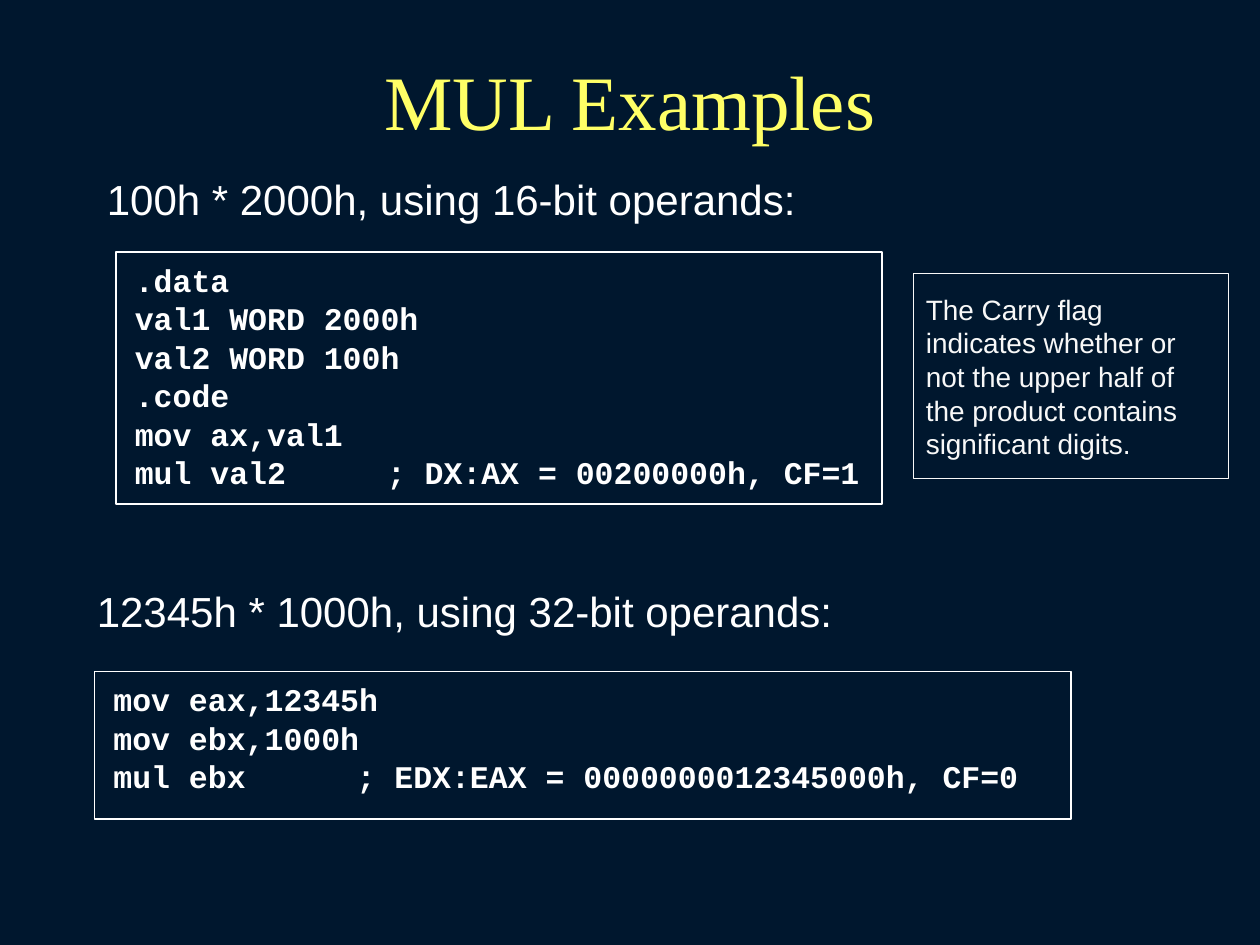
from dataclasses import dataclass

from lxml.etree import SubElement
from pptx import Presentation
from pptx.dml.color import RGBColor
from pptx.enum.shapes import MSO_SHAPE as Shape
from pptx.enum.text import MSO_ANCHOR as Anchor, PP_ALIGN as Align
from pptx.oxml.ns import qn
from pptx.util import Inches, Pt


@dataclass(frozen=True)
class Theme:
    background: RGBColor = RGBColor(0x00, 0x17, 0x2E)
    title: RGBColor = RGBColor(0xFF, 0xFF, 0x66)
    text: RGBColor = RGBColor(0xFF, 0xFF, 0xFF)
    note: RGBColor = RGBColor(0xF8, 0xF8, 0xF8)
    title_font: str = "Times New Roman"
    body_font: str = "Arial"
    code_font: str = "Courier New"
    title_size: float = 44
    heading_size: float = 24
    code_size: float = 18
    note_size: float = 16
    line_width: float = 0.75
    code_spacing: float = 0.5
    code_gap: float = 11.2


@dataclass(frozen=True)
class Box:
    left: float
    top: float
    width: float
    height: float

    def lengths(self) -> tuple:
        return tuple(map(Inches, (self.left, self.top, self.width, self.height)))


@dataclass(frozen=True)
class Example:
    heading: str
    heading_box: Box
    heading_inset: float
    code: tuple[str, ...]
    code_box: Box
    comment_tab: float


THEME = Theme()
NOTE = ("The Carry flag indicates whether or not the upper half of "
        "the product contains significant digits.")
EXAMPLES = (
    Example(
        "100h * 2000h, using 16-bit operands:", Box(0.75, 1.33, 8.5, 0.58), 0.05,
        (".data", "val1 WORD 2000h", "val2 WORD 100h", ".code", "mov ax,val1",
         "mul val2\t; DX:AX = 00200000h, CF=1"),
        Box(0.92, 2, 6.08, 2), 2),
    Example(
        "12345h * 1000h, using 32-bit operands:", Box(0.67, 4.5, 7.83, 0.7), 0.15,
        ("mov eax,12345h", "mov ebx,1000h",
         "mul ebx\t; EDX:EAX = 0000000012345000h, CF=0"),
        Box(0.75, 5.33, 7.75, 1.17), 1.93),
)


def set_frame(frame, side: float, end: float, anchor=Anchor.TOP) -> None:
    frame.word_wrap = True
    frame.vertical_anchor = anchor
    frame.margin_left = frame.margin_right = Inches(side)
    frame.margin_top = frame.margin_bottom = Inches(end)


def add_text(paragraph, text: str, font_name: str, size: float,
             color: RGBColor, bold: bool = False, align=Align.LEFT) -> None:
    paragraph.alignment = align
    run = paragraph.add_run()
    run.text = text
    run.font.name = font_name
    run.font.size = Pt(size)
    run.font.bold = bold
    run.font.color.rgb = color


def add_tab_stop(paragraph, position: float) -> None:
    tabs = SubElement(paragraph._p.get_or_add_pPr(), qn("a:tabLst"))
    SubElement(tabs, qn("a:tab"), pos=str(Inches(position)), algn="l")


def add_outline(slide, box: Box, color: RGBColor):
    shape = slide.shapes.add_shape(Shape.RECTANGLE, *box.lengths())
    shape.shadow.inherit = False
    shape.fill.background()
    shape.line.color.rgb = color
    shape.line.width = Pt(THEME.line_width)
    return shape


def draw_title(slide, text: str, box: Box) -> None:
    title = slide.shapes.title
    title.left, title.top, title.width, title.height = box.lengths()
    set_frame(title.text_frame, 0.1, 0.05, Anchor.MIDDLE)
    add_text(title.text_frame.paragraphs[0], text, THEME.title_font,
             THEME.title_size, THEME.title, align=Align.CENTER)


def draw_example(slide, example: Example) -> None:
    # Heading above the code
    heading = slide.shapes.add_textbox(*example.heading_box.lengths()).text_frame
    set_frame(heading, 0.1, example.heading_inset)
    add_text(heading.paragraphs[0], example.heading, THEME.body_font,
             THEME.heading_size, THEME.text)

    # Framed code, one paragraph per line
    frame = add_outline(slide, example.code_box, THEME.text).text_frame
    set_frame(frame, 0.15, 0.2)
    for index, line in enumerate(example.code):
        paragraph = frame.add_paragraph() if index else frame.paragraphs[0]
        paragraph.line_spacing = THEME.code_spacing
        if index:
            paragraph.space_before = Pt(THEME.code_gap)
        add_tab_stop(paragraph, example.comment_tab)
        add_text(paragraph, line, THEME.code_font, THEME.code_size,
                 THEME.text, bold=True)


def draw_note(slide, text: str, box: Box) -> None:
    frame = add_outline(slide, box, THEME.note).text_frame
    set_frame(frame, 0.1, 0.15)
    add_text(frame.paragraphs[0], text, THEME.body_font, THEME.note_size, THEME.note)


def main() -> None:
    presentation = Presentation()
    presentation.slide_width, presentation.slide_height = Inches(10), Inches(7.5)
    slide = presentation.slides.add_slide(presentation.slide_layouts[5])
    slide.background.fill.solid()
    slide.background.fill.fore_color.rgb = THEME.background

    draw_title(slide, "MUL Examples", Box(0.75, 0.33, 8.5, 0.92))
    for example in EXAMPLES:
        draw_example(slide, example)
    draw_note(slide, NOTE, Box(7.25, 2.17, 2.5, 1.63))
    presentation.save("out.pptx")


if __name__ == "__main__":
    main()
